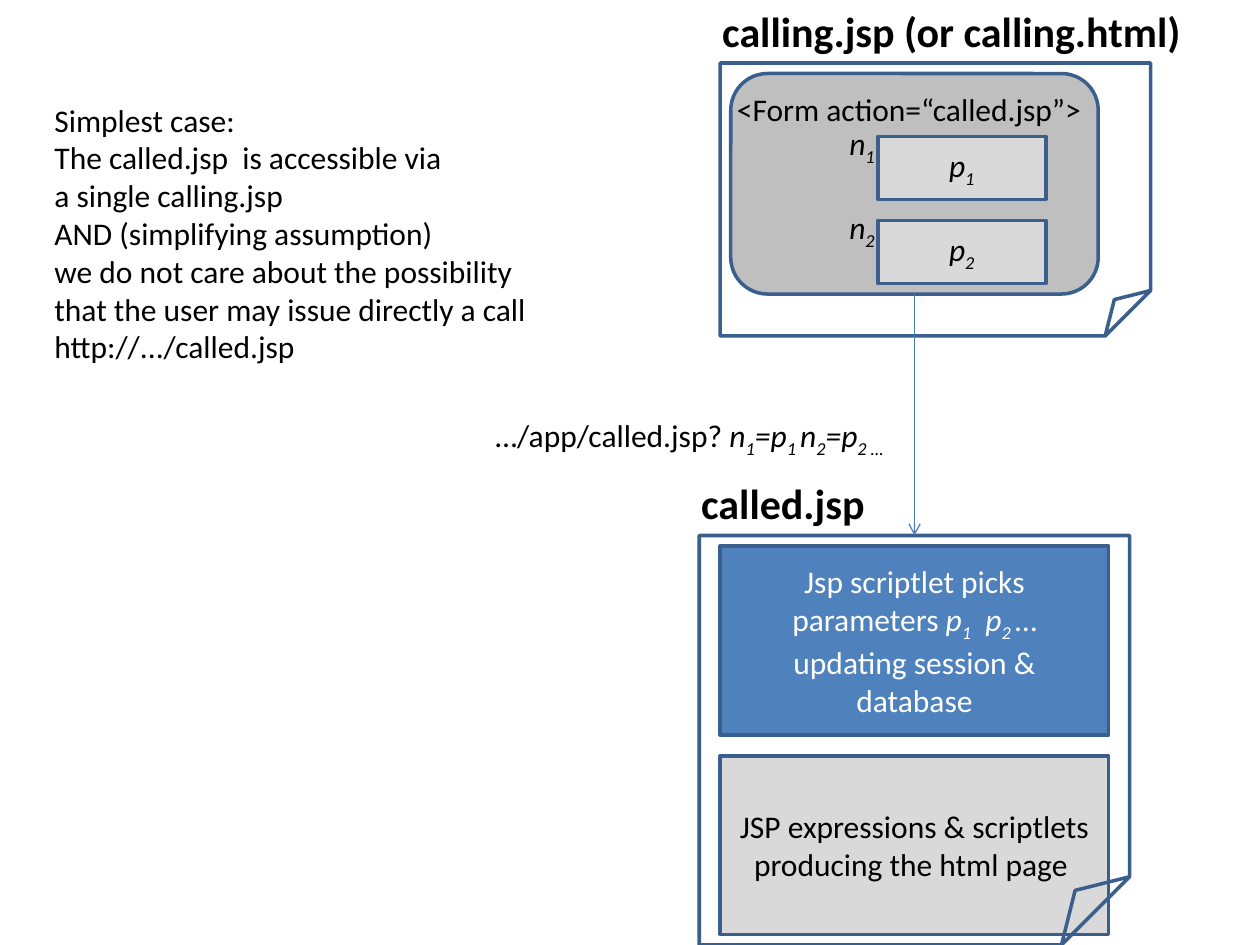
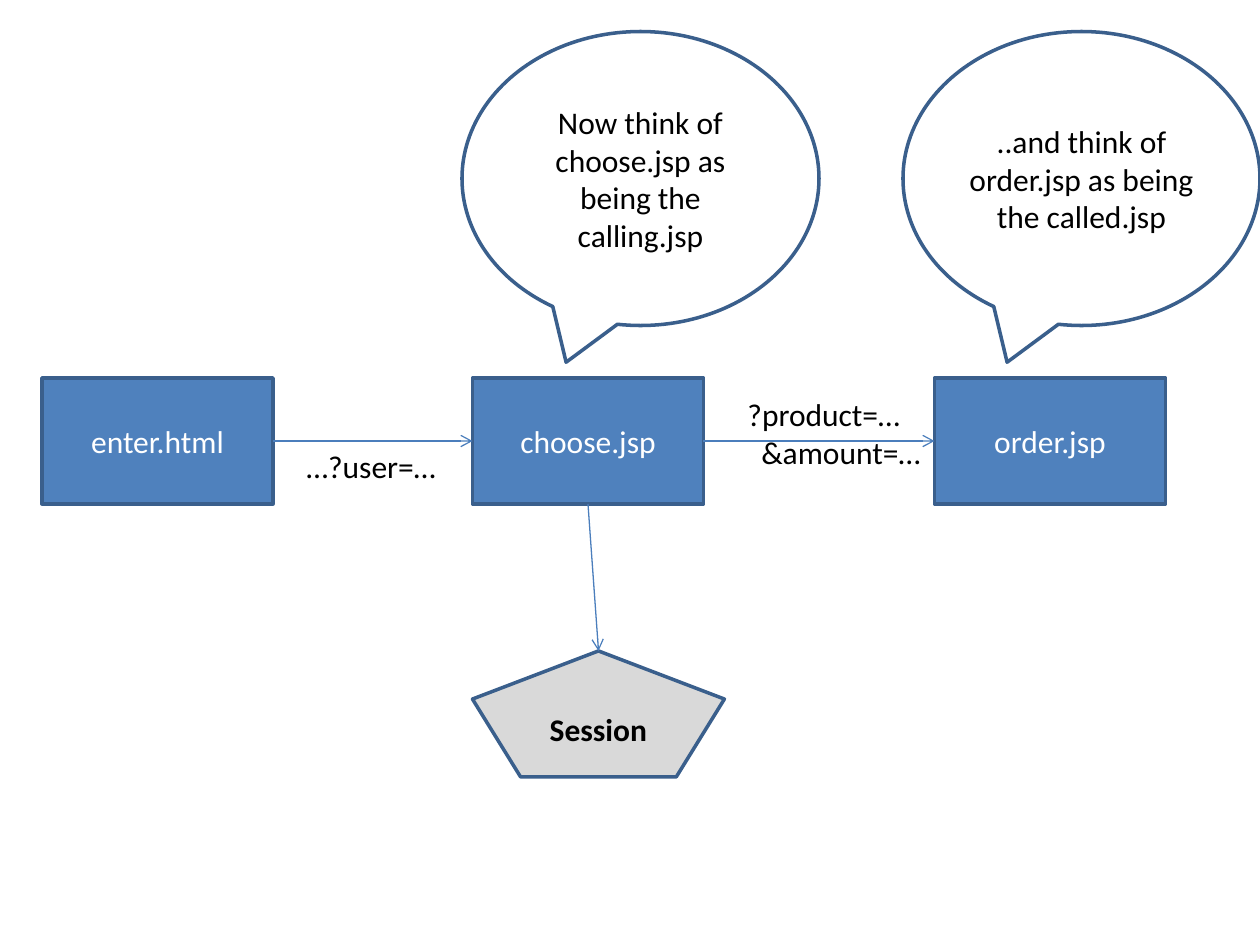
import collections
import lxml.etree
import pptx
import pptx.dml.color
import pptx.enum.shapes
import pptx.enum.text
import pptx.oxml.ns
import pptx.util

COLORS = {
    "blue": "4F81BD",
    "outline": "3A5F8C",
    "arrow": "4B7EBC",
    "form": "BFBFBF",
    "pale": "D9D9D9",
    "white": "FFFFFF",
    "black": "000000",
}
FONT = "Calibri"
BODY, HEADING = 18, 24
COLUMNS, ROWS = 120, 90
WIDTH, HEIGHT = pptx.util.Inches(10), pptx.util.Inches(7.5)
TOP, LEFT, BOTTOM, RIGHT = range(4)
SHAPE = pptx.enum.shapes.MSO_SHAPE
ALIGN = pptx.enum.text.PP_ALIGN

Box = collections.namedtuple("Box", "left top width height")


def within(box, left, top, width, height):
    return Box(box.left + left, box.top + top, width, height)


def place(box):
    across, down = WIDTH / COLUMNS, HEIGHT / ROWS
    return (round(box.left * across), round(box.top * down),
            round(box.width * across), round(box.height * down))


def color(name):
    return pptx.dml.color.RGBColor.from_string(COLORS[name])


def variable(letter, index):
    return [(letter, "italic"), (index, "italic sub")]


def write(frame, lines, ink="black", size=BODY, align=ALIGN.LEFT, bold=False):
    for number, line in enumerate(lines):
        para = frame.add_paragraph() if number else frame.paragraphs[0]
        para.alignment = align
        para.font.name = FONT
        para.font.size = pptx.util.Pt(size)
        para.font.bold = bold
        para.font.color.rgb = color(ink)
        for text, style in [(line, "")] if isinstance(line, str) else line:
            span = para.add_run()
            span.text = text
            if "italic" in style:
                span.font.italic = True
            if "sub" in style:
                span._r.get_or_add_rPr().set("baseline", "-25000")


def add_label(page, box, *lines, **look):
    label = page.shapes.add_textbox(*place(box))
    label.text_frame.word_wrap = False
    label.text_frame.auto_size = pptx.enum.text.MSO_AUTO_SIZE.SHAPE_TO_FIT_TEXT
    write(label.text_frame, lines, **look)
    return label


def add_figure(page, kind, box, fill=None, line=None, **look):
    figure = page.shapes.add_shape(kind, *place(box))
    figure.shadow.inherit = False
    if fill:
        figure.fill.solid()
        figure.fill.fore_color.rgb = color(fill)
    else:
        figure.fill.background()
    figure.line.color.rgb = color("outline")
    figure.line.width = pptx.util.Pt(2)
    if line:
        figure.text_frame.word_wrap = True
        figure.text_frame.vertical_anchor = pptx.enum.text.MSO_ANCHOR.MIDDLE
        write(figure.text_frame, [line], align=ALIGN.CENTER, **look)
    return figure


def add_arrow(page, start, start_side, end, end_side):
    arrow = page.shapes.add_connector(
        pptx.enum.shapes.MSO_CONNECTOR.STRAIGHT, 0, 0, 0, 0)
    arrow.begin_connect(start, start_side)
    arrow.end_connect(end, end_side)
    arrow.line.color.rgb = color("arrow")
    arrow.line.width = pptx.util.Pt(0.75)
    qualify = pptx.oxml.ns.qn
    lxml.etree.SubElement(arrow.line._get_or_add_ln(), qualify("a:tailEnd"), type="arrow")
    lxml.etree.SubElement(arrow._element.spPr, qualify("a:effectLst"))


def add_document(page, box, title, title_width):
    add_label(page, within(box, -1, -6.1, title_width, 6.1), title,
              size=HEADING, bold=True)
    return add_figure(page, SHAPE.FOLDED_CORNER, box)


def add_calling_page(page, box):
    form = add_figure(page, SHAPE.ROUNDED_RECTANGLE, within(box, 1, 1, 35, 21), "form")
    add_document(page, box, "calling.jsp (or calling.html)", 46.5)
    for row, index in enumerate("12"):
        drop = 8 * row
        add_figure(page, SHAPE.RECTANGLE, within(box, 15, 7 + drop, 16, 6), "pale",
                   variable("p", index))
        add_label(page, within(box, 11, 5.2 + drop, 5, 4.8), variable("n", index),
                  align=ALIGN.CENTER)
    add_label(page, within(box, 0.4, 2, 35.5, 4.8), "<Form action=“called.jsp”>")
    return form


def add_called_page(page, box):
    scriptlet = [("Jsp scriptlet picks parameters ", ""), *variable("p", "1"),
                 *variable("  p", "2 "), ("… updating session & database", "")]
    add_figure(page, SHAPE.RECTANGLE, within(box, 2, 1, 37, 18), "blue",
               scriptlet, ink="white")
    add_figure(page, SHAPE.RECTANGLE, within(box, 2, 21, 37, 17), "pale",
               "JSP expressions & scriptlets producing the html page ")
    return add_document(page, box, "called.jsp", 18.1)


def build_simplest_case(page):
    form = add_calling_page(page, Box(68.6, 6, 41, 26))
    called = add_called_page(page, Box(66.6, 51, 41, 39))
    add_arrow(page, form, BOTTOM, called, TOP)
    request = [("…/app/called.jsp?", ""), *variable(" n", "1"), *variable("=p", "1 "),
               *variable("n", "2"), *variable("=p", "2 …")]
    add_label(page, Box(46, 39, 40.8, 12.1), request)
    add_label(page, Box(4, 9, 47.9, 26.6),
              "Simplest case: ",
              "The called.jsp  is accessible via",
              "a single calling.jsp",
              "AND (simplifying assumption)",
              "we do not care about the possibility",
              "that the user may issue directly a call",
              "http://.../called.jsp")


def add_steps(page, box, names, lefts):
    return [add_figure(page, SHAPE.RECTANGLE, within(box, left, 0, 22, box.height),
                       "blue", name, ink="white")
            for name, left in zip(names, lefts)]


def add_callouts(page, box, thoughts):
    width = 34
    pitch = (box.width - width) / (len(thoughts) - 1)
    for number, thought in enumerate(thoughts):
        add_figure(page, SHAPE.OVAL_CALLOUT,
                   within(box, number * pitch, 0, width, box.height), line=thought)


def build_session_flow(page):
    enter, choose, order = add_steps(
        page, Box(4, 36, 107, 12),
        ("enter.html", "choose.jsp", "order.jsp"), (0, 41, 85))
    session = add_figure(page, SHAPE.REGULAR_PENTAGON, Box(45, 62, 24, 12), "pale",
                         "Session", bold=True)
    add_arrow(page, enter, RIGHT, choose, LEFT)
    add_arrow(page, choose, RIGHT, order, LEFT)
    add_arrow(page, choose, BOTTOM, session, TOP)
    add_label(page, Box(28, 42, 14.9, 4.8), "…?user=…")
    query = add_label(page, Box(70, 37, 19.1, 8.5), "?product=…", "&amount=…")
    indent = query.text_frame.paragraphs[1]._p.get_or_add_pPr()
    indent.set("marL", str(pptx.util.Inches(0.11)))
    add_callouts(page, Box(44, 3, 76, 28),
                 ("Now think of choose.jsp as being the calling.jsp",
                  "..and think of order.jsp as being the called.jsp"))


deck = pptx.Presentation()
deck.slide_width, deck.slide_height = WIDTH, HEIGHT
for build in (build_simplest_case, build_session_flow):
    build(deck.slides.add_slide(deck.slide_layouts[6]))
deck.save("out.pptx")
